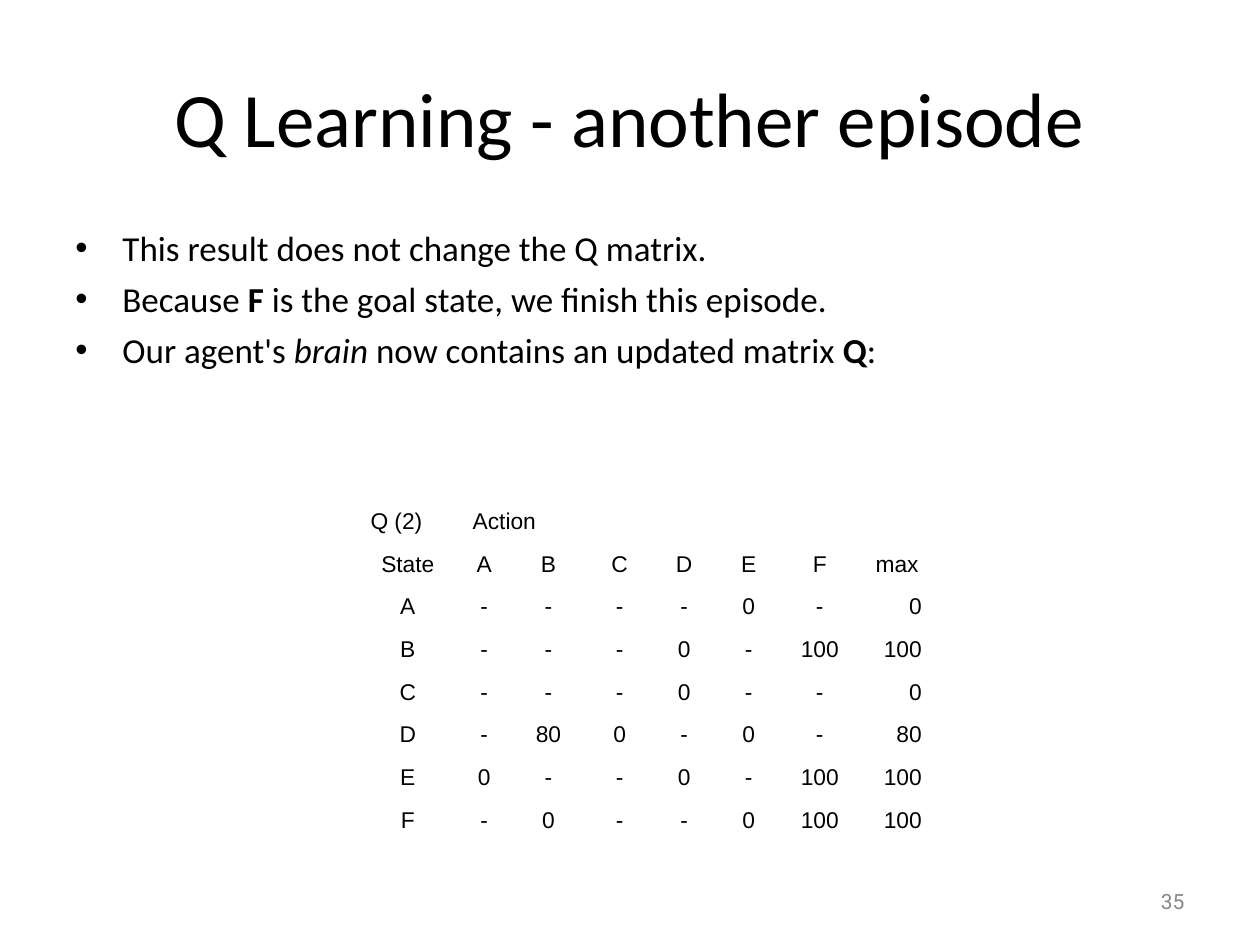
from typing import NamedTuple

from lxml import etree
from pptx import Presentation
from pptx import util as u
from pptx.dml.color import RGBColor
from pptx.enum import text as t
from pptx.oxml.ns import qn


class Box(NamedTuple):
    left: float
    top: float
    width: float
    height: float

    def cm(self) -> list:
        return [u.Cm(size) for size in self]


class Part(NamedTuple):
    text: str
    bold: bool = False
    ital: bool = False


LEFT, MID, RIGHT = t.PP_ALIGN.LEFT, t.PP_ALIGN.CENTER, t.PP_ALIGN.RIGHT
BLACK, GREY = "000000", "898989"

POINTS = [
    [Part("This result does not change the Q matrix.")],
    [Part("Because "), Part("F", bold=True),
     Part(" is the goal state, we finish this episode.")],
    [Part("Our agent's "), Part("brain", ital=True),
     Part(" now contains an updated matrix "), Part("Q", bold=True), Part(":")],
]
COLS = [2.06, 1.02, 1.57, 1.3, 1.3, 1.3, 1.57, 1.55]
ROWS = [
    ["State", "A", "B", "C", "D", "E", "F", "max"],
    ["A", "-", "-", "-", "-", "0", "-", "0"],
    ["B", "-", "-", "-", "0", "-", "100", "100"],
    ["C", "-", "-", "-", "0", "-", "-", "0"],
    ["D", "-", "80", "0", "-", "0", "-", "80"],
    ["E", "0", "-", "-", "0", "-", "100", "100"],
    ["F", "-", "0", "-", "-", "0", "100", "100"],
]


def paint(font, color: str) -> None:
    font.color.rgb = RGBColor.from_string(color)


def write(para, parts: list[Part], size: float, face: str = "Calibri",
          color: str = BLACK, align=LEFT) -> None:
    para.alignment = align
    for part in parts:
        run = para.add_run()
        run.text = part.text
        run.font.size = u.Pt(size)
        run.font.name = face
        run.font.bold = part.bold
        run.font.italic = part.ital
        paint(run.font, color)


def bullet(para) -> None:
    props = para._p.get_or_add_pPr()
    props.set("marL", str(u.Cm(0.95)))
    props.set("indent", str(-u.Cm(0.95)))
    etree.SubElement(props, qn("a:buFont")).set("typeface", "Arial")
    etree.SubElement(props, qn("a:buChar")).set("char", "•")


def add_box(slide, box: Box, anchor=t.MSO_ANCHOR.TOP):
    frame = slide.shapes.add_textbox(*box.cm()).text_frame
    frame.word_wrap = True
    frame.vertical_anchor = anchor
    return frame


def fill_cell(cell, word: str, align) -> None:
    cell.fill.background()
    cell.vertical_anchor = t.MSO_ANCHOR.BOTTOM
    cell.margin_left = cell.margin_right = u.Cm(0.28)
    cell.margin_top = cell.margin_bottom = u.Cm(0.13)
    if word:
        write(cell.text_frame.paragraphs[0], [Part(word)], 13, "Arial", align=align)


def add_grid(slide, box: Box) -> None:
    grid = slide.shapes.add_table(len(ROWS) + 1, len(COLS), *box.cm()).table
    grid.first_row = grid.horz_banding = False
    for col, width in zip(grid.columns, COLS):
        col.width = u.Cm(width)
    for num, row in enumerate(grid.rows):
        row.height = u.Cm(0.86 if num else 1.55)

    # Heading row, with "Action" over two columns
    heads = ["Q (2)", "Action"] + [""] * (len(COLS) - 2)
    for col, word in enumerate(heads):
        fill_cell(grid.cell(0, col), word, LEFT)
    grid.cell(0, 1).merge(grid.cell(0, 2))

    # State rows; the values under "max" sit on the right
    for num, words in enumerate(ROWS, 1):
        for col, word in enumerate(words):
            last = num > 1 and col == len(COLS) - 1
            fill_cell(grid.cell(num, col), word, RIGHT if last else MID)


def main() -> None:
    deck = Presentation()
    deck.slide_width, deck.slide_height = u.Cm(25.4), u.Cm(19.05)
    slide = deck.slides.add_slide(deck.slide_layouts[5])

    # Title
    title = slide.shapes.title
    title.left, title.top, title.width, title.height = Box(1.27, 0.76, 22.86, 3.18).cm()
    title.text_frame.vertical_anchor = t.MSO_ANCHOR.MIDDLE
    write(title.text_frame.paragraphs[0], [Part("Q Learning - another episode")],
          44, align=MID)

    # Bullet points
    body = add_box(slide, Box(1.27, 4.45, 22.86, 12.57))
    for num, parts in enumerate(POINTS):
        para = body.add_paragraph() if num else body.paragraphs[0]
        bullet(para)
        if num:
            para.space_before = u.Pt(5)
        write(para, parts, 20)

    # Page number
    page = add_box(slide, Box(18.21, 17.65, 5.92, 1.02), t.MSO_ANCHOR.MIDDLE)
    write(page.paragraphs[0], [Part("35")], 12, "Roboto", GREY, RIGHT)

    # Q matrix
    add_grid(slide, Box(7.19, 9.35, sum(COLS), 7.57))

    deck.save("out.pptx")


if __name__ == "__main__":
    main()
